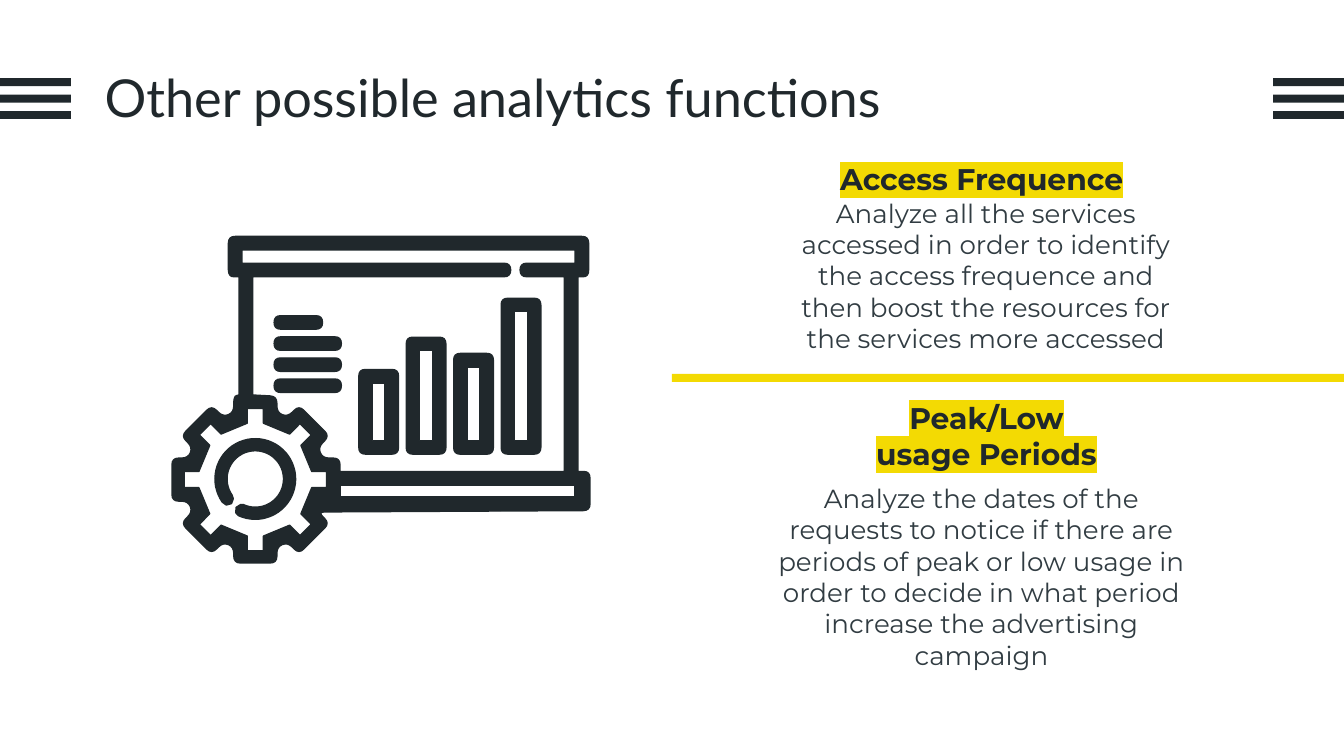
from math import cos, hypot, radians, sin

from lxml.etree import SubElement
from pptx import Presentation
from pptx.dml.color import RGBColor
from pptx.enum.shapes import MSO_SHAPE
from pptx.enum.text import MSO_ANCHOR, PP_ALIGN
from pptx.oxml.ns import qn
from pptx.util import Cm, Pt

COLORS = {"ink": "20282C", "body": "313C42", "accent": "F3DA03"}
ICON_UNIT = 2.54  # centimetres per unit of the icon grid


def soften(corners, radius=0.05, sharp=()):
    """Round every corner of a closed outline except those listed in sharp."""
    outline = []
    for i, (x, y) in enumerate(corners):
        if (x, y) in sharp:
            outline.append((x, y))
            continue
        ends = []
        for nx, ny in (corners[i - 1], corners[(i + 1) % len(corners)]):
            length = hypot(nx - x, ny - y)
            share = min(radius / length, 0.5)
            ends.append((x + (nx - x) * share, y + (ny - y) * share))
        (ax, ay), (bx, by) = ends
        for t in (0, 0.25, 0.5, 0.75, 1):
            a, c, b = (1 - t) ** 2, 2 * t * (1 - t), t ** 2
            outline.append((a * ax + c * x + b * bx, a * ay + c * y + b * by))
    return outline


def draw_icon_part(*outlines):
    """Draw one filled part; outlines after the first are holes."""
    scaled = [[(Cm(x * ICON_UNIT), Cm(y * ICON_UNIT)) for x, y in o] for o in outlines]
    builder = icon.shapes.build_freeform(*scaled[0][0])
    builder.add_line_segments(scaled[0][1:])
    for hole in scaled[1:]:
        builder.move_to(*hole[0])
        builder.add_line_segments(hole[1:])
    part = builder.convert_to_shape()
    part.shadow.inherit = False
    part.fill.solid()
    part.fill.fore_color.rgb = RGBColor.from_string(COLORS["ink"])
    part.line.color.rgb = RGBColor.from_string(COLORS["ink"])
    part.line.width = Pt(0.75)


deck = Presentation()
deck.slide_width, deck.slide_height = Cm(25.4), Cm(14.29)
slide = deck.slides.add_slide(deck.slide_layouts[6])

# Divider and the three stripes at each edge
stripes = [(12.7, 7.07, 12.9, 0.15, "accent")]
for left in (24.06, 0):
    for row in range(3):
        stripes.append((left, 1.48 + 0.31 * row, 1.34, 0.15, "ink"))
for left, top, width, height, color in stripes:
    stripe = slide.shapes.add_shape(
        MSO_SHAPE.RECTANGLE, Cm(left), Cm(top), Cm(width), Cm(height))
    stripe.shadow.inherit = False
    stripe.fill.solid()
    stripe.fill.fore_color.rgb = RGBColor.from_string(COLORS[color])
    stripe.line.fill.background()

# Texts: box in cm, wording, then the style
title_style = (28, "Lato", "ink", False, PP_ALIGN.LEFT, MSO_ANCHOR.TOP)
heading_style = (16, "Montserrat", "ink", True, PP_ALIGN.CENTER, MSO_ANCHOR.MIDDLE)
body_style = (14, "Montserrat", "body", False, PP_ALIGN.CENTER, MSO_ANCHOR.MIDDLE)
texts = [
    ((1.73, 0.99, 21.69, 1.6), "Other possible analytics functions", title_style),
    ((15.52, 3.0, 6.07, 0.76), "Access Frequence", heading_style),
    ((14.76, 4.19, 7.75, 2.03),
     "Analyze all the services accessed in order to identify the access frequence "
     "and then boost the resources for the services more accessed", body_style),
    ((16.03, 7.85, 5.23, 0.76), "Peak/Low usage Periods", heading_style),
    ((14.22, 9.88, 8.66, 2.03),
     "Analyze the dates of the requests to notice if there are periods of peak or low "
     "usage in order to decide in what period increase the advertising campaign",
     body_style),
]
for box, wording, (size, font, color, highlighted, align, anchor) in texts:
    frame = slide.shapes.add_textbox(*map(Cm, box)).text_frame
    frame.word_wrap = True
    frame.vertical_anchor = anchor
    frame.margin_left = frame.margin_right = Cm(0.25)
    frame.margin_top = frame.margin_bottom = Cm(0.25)
    frame.text = wording
    paragraph = frame.paragraphs[0]
    paragraph.alignment = align
    run = paragraph.runs[0]
    run.font.size = Pt(size)
    run.font.bold = highlighted
    run.font.color.rgb = RGBColor.from_string(COLORS[color])
    if highlighted:
        highlight = SubElement(run.font._element, qn("a:highlight"))
        SubElement(highlight, qn("a:srgbClr")).set("val", COLORS["accent"])
    run.font.name = font

# Gear: eight teeth, each the top one turned by a multiple of 45 degrees
GEAR_X, GEAR_Y = 1.9, 3.57
teeth, tooth_holes = [], []
for turn in range(8):
    c, s = cos(radians(45 * turn)), sin(radians(45 * turn))
    for half, root, tip, group in ((0.16, 0.5, 0.62, teeth), (0.06, 0.42, 0.53, tooth_holes)):
        tooth = [(-half, -root), (-half, -tip), (half, -tip), (half, -root)]
        group.append([(GEAR_X + x * c - y * s, GEAR_Y + x * s + y * c) for x, y in tooth])

# Board and gear in one silhouette
icon = slide.shapes.add_group_shape()
inner_turns = [(1.78, 2.94), (1.78, 2.06), (4.3, 2.06), (4.3, 3.51)]
silhouette = [(4.39, 3.8), *sum(teeth[3:], []), *teeth[0][:2], *inner_turns[:2],
              (1.7, 2.06), (1.7, 1.76), (4.38, 1.76), (4.38, 2.06),
              *inner_turns[2:], (4.39, 3.51)]
square_turns = [(1.88, 2.06), (1.8, 1.96), (1.8, 1.86), (4.28, 1.86), (4.28, 1.96),
                (4.2, 2.06), (4.2, 3.51), (2.53, 3.51), (1.88, 2.94)]
screen = [square_turns[0], (3.8, 2.06), (3.8, 1.96), *square_turns[1:5],
          (3.87, 1.96), (3.87, 2.06), *square_turns[5:8], (2.53, 3.41),
          teeth[2][0], *teeth[1][::-1], *teeth[0][:1:-1], square_turns[8]]
base = [(2.53, 3.61), (4.28, 3.61), (4.28, 3.7), (2.53, 3.7)]
draw_icon_part(soften(silhouette, sharp=inner_turns), soften(screen, sharp=square_turns),
               base, sum(tooth_holes, []))

# Bars of the chart
for number, top in enumerate((2.75, 2.51, 2.63, 2.22)):
    left, right, bottom = 2.67 + 0.353 * number, 2.965 + 0.353 * number, 3.38
    outer, inner = (
        [(left + d, top + d), (right - d, top + d), (right - d, bottom - d), (left + d, bottom - d)]
        for d in (0, 0.1))
    draw_icon_part(soften(outer), inner)

# Lines of writing on the board
for row, right in enumerate((2.4, 2.54, 2.54, 2.54)):
    top = 2.35 + 0.157 * row
    draw_icon_part(soften([(2.04, top), (right, top), (right, top + 0.1), (2.04, top + 0.1)]))

# Open ring inside the gear, with rounded ends
ring = [(0.3, angle) for angle in range(145, 476, 6)]
ring += [(0.29, 480), (0.255, 484), (0.22, 480)]
ring += [(0.21, angle) for angle in range(475, 144, -6)]
ring += [(0.22, 138), (0.255, 134), (0.29, 138)]
draw_icon_part([(1.9 + r * cos(radians(a)), 3.565 + r * sin(radians(a))) for r, a in ring])

deck.save("out.pptx")
